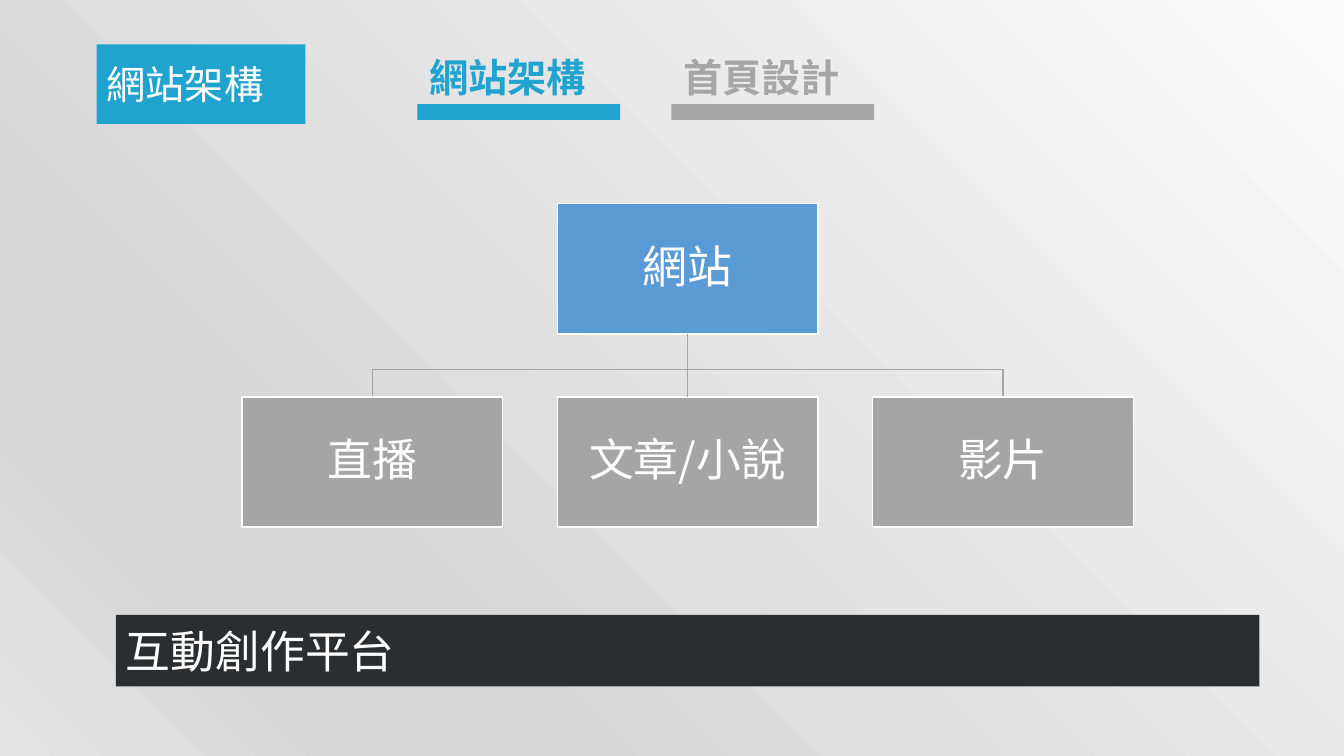
from copy import deepcopy

from pptx import Presentation
from pptx.dml.color import RGBColor
from pptx.enum.shapes import MSO_CONNECTOR as Link, MSO_SHAPE as Kind
from pptx.enum.text import MSO_ANCHOR as Anchor, MSO_AUTO_SIZE as Fit, PP_ALIGN as Align
from pptx.oxml.ns import qn
from pptx.oxml.xmlchemy import OxmlElement as Node
from pptx.util import Inches, Pt

FONT = "Noto Sans CJK SC"
BLUE, GREY, WHITE = "21A3D0", "A6A6A6", "FFFFFF"
ROOT, LEAF, DARK = "5B9BD5", "A5A5A5", "2B2E30"
STOPS = [(0, "FAFAFA"), (74, "D7D7D7"), (83, "D7D7D7"), (100, "E4E4E4")]
WIDE, HIGH = 13.33, 7.5


def rgb(code):
    """Turn a hex string into a colour."""
    return RGBColor.from_string(code)


def write(shape, text, size=28, color=WHITE, bold=False, align=Align.JUSTIFY,
          anchor=Anchor.MIDDLE, inset=None, lead=None):
    """Put one formatted line of text into a shape."""
    frame = shape.text_frame
    frame.word_wrap = True
    frame.vertical_anchor = anchor
    if inset is not None:
        frame.margin_left = frame.margin_right = Inches(inset)
        frame.margin_top = frame.margin_bottom = Inches(inset)
    para = frame.paragraphs[0]
    para.alignment = align
    para.line_spacing = lead
    run = para.add_run()
    run.text = text
    font = run.font
    font.name, font.size, font.bold = FONT, Pt(size), bold
    font.color.rgb = rgb(color)
    east = Node("a:ea")
    east.set("typeface", FONT)
    font._element.find(qn("a:latin")).addnext(east)


def block(slide, box, fill, edge=None):
    """Draw a filled rectangle, outlined if an edge colour is given."""
    shape = slide.shapes.add_shape(Kind.RECTANGLE, *map(Inches, box))
    shape.shadow.inherit = False
    shape.fill.solid()
    shape.fill.fore_color.rgb = rgb(fill)
    if edge:
        shape.line.color.rgb = rgb(edge)
        shape.line.width = Pt(1)
    else:
        shape.line.fill.background()
    return shape


def paint(slide):
    """Lay the diagonal grey gradient behind the slide."""
    fill = slide.background.fill
    fill.gradient()
    fill.gradient_angle = 225
    stops = slide.element.find(".//" + qn("a:gsLst"))
    for _ in STOPS[2:]:
        stops.append(deepcopy(stops[0]))
    for stop, (place, code) in zip(fill.gradient_stops, STOPS):
        stop.position = place / 100
        stop.color.rgb = rgb(code)


def tab(slide, box, text, color):
    """Draw a bold label over a coloured bar."""
    left, top, width, height = box
    bar = 0.22 * height
    block(slide, (left, top + height - bar, width, bar), color)
    label = slide.shapes.add_textbox(*map(Inches, (left + 0.02, top, width - 0.04, 0.8 * height)))
    write(label, text, color=color, bold=True, anchor=Anchor.TOP)
    label.text_frame.auto_size = Fit.SHAPE_TO_FIT_TEXT


def elbow(slide, points):
    """Draw an open bent line through the points."""
    first, *rest = [(Inches(x), Inches(y)) for x, y in points]
    path = slide.shapes.build_freeform(*first)
    path.add_line_segments(rest, close=False)
    shape = path.convert_to_shape()
    shape.shadow.inherit = False
    shape.fill.background()
    shape.line.color.rgb = rgb(LEAF)
    shape.line.width = Pt(1)


def tree(slide, box, root, leaves):
    """Draw a root node over a row of evenly spaced leaves."""
    left, top, width, height = box
    count = len(leaves)
    wide = width / (count + 0.21 * (count - 1))
    high, step = wide / 2, 1.21 * wide
    row = top + height - high
    bus = row - 0.21 * high
    mid = left + width / 2

    def node(x, y, text, fill):
        """Draw one labelled node."""
        shape = block(slide, (x, y, wide, high), fill, WHITE)
        write(shape, text, 32, align=Align.CENTER, inset=0.02, lead=0.9)
        return shape

    for i in range(count):
        x = left + i * step + wide / 2
        if abs(x - mid) > 0.01:
            elbow(slide, [(mid, top + high), (mid, bus), (x, bus), (x, row)])
    head = node(mid - wide / 2, top, root, ROOT)
    nodes = [node(left + i * step, row, text, LEAF) for i, text in enumerate(leaves)]
    stem = slide.shapes.add_connector(Link.STRAIGHT, 0, 0, 0, 0)
    stem.begin_connect(head, 2)
    stem.end_connect(nodes[count // 2], 0)
    stem.line.color.rgb = rgb(LEAF)
    stem.line.width = Pt(1)
    stem._element.spPr.append(Node("a:effectLst"))


def main():
    """Build the slide and save it."""
    deck = Presentation()
    deck.slide_width, deck.slide_height = Inches(WIDE), Inches(HIGH)
    slide = deck.slides.add_slide(deck.slide_layouts[6])
    paint(slide)
    write(block(slide, (1.15, 6.1, 11.34, 0.71), DARK), "互動創作平台", 32)
    tree(slide, (2.4, 2.02, 8.84, 3.21), "網站", ["直播", "文章/小說", "影片"])
    for i, (text, color) in enumerate([("網站架構", BLUE), ("首頁設計", GREY)]):
        tab(slide, (4.14 + 2.52 * i, 0.48, 2.01, 0.71), text, color)
    write(block(slide, (0.96, 0.44, 2.07, 0.79), BLUE), "網站架構")
    deck.save("out.pptx")


if __name__ == "__main__":
    main()
